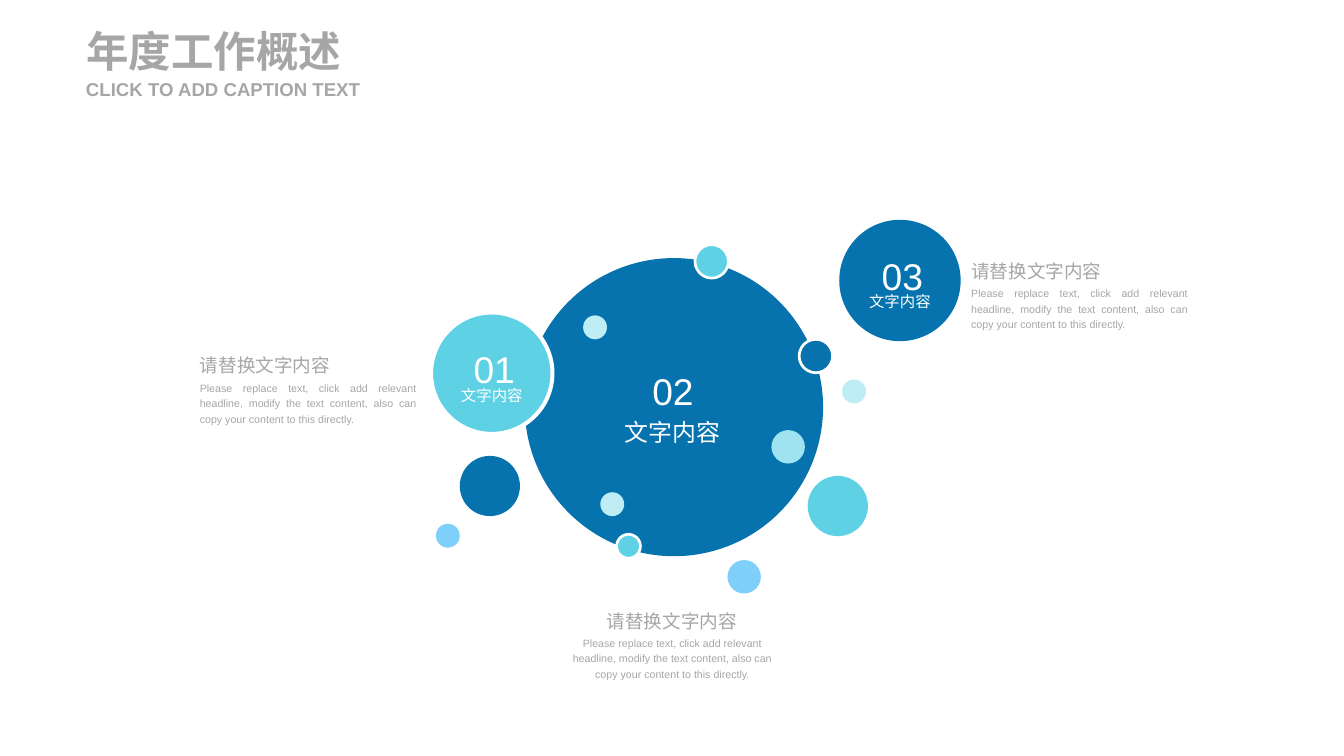
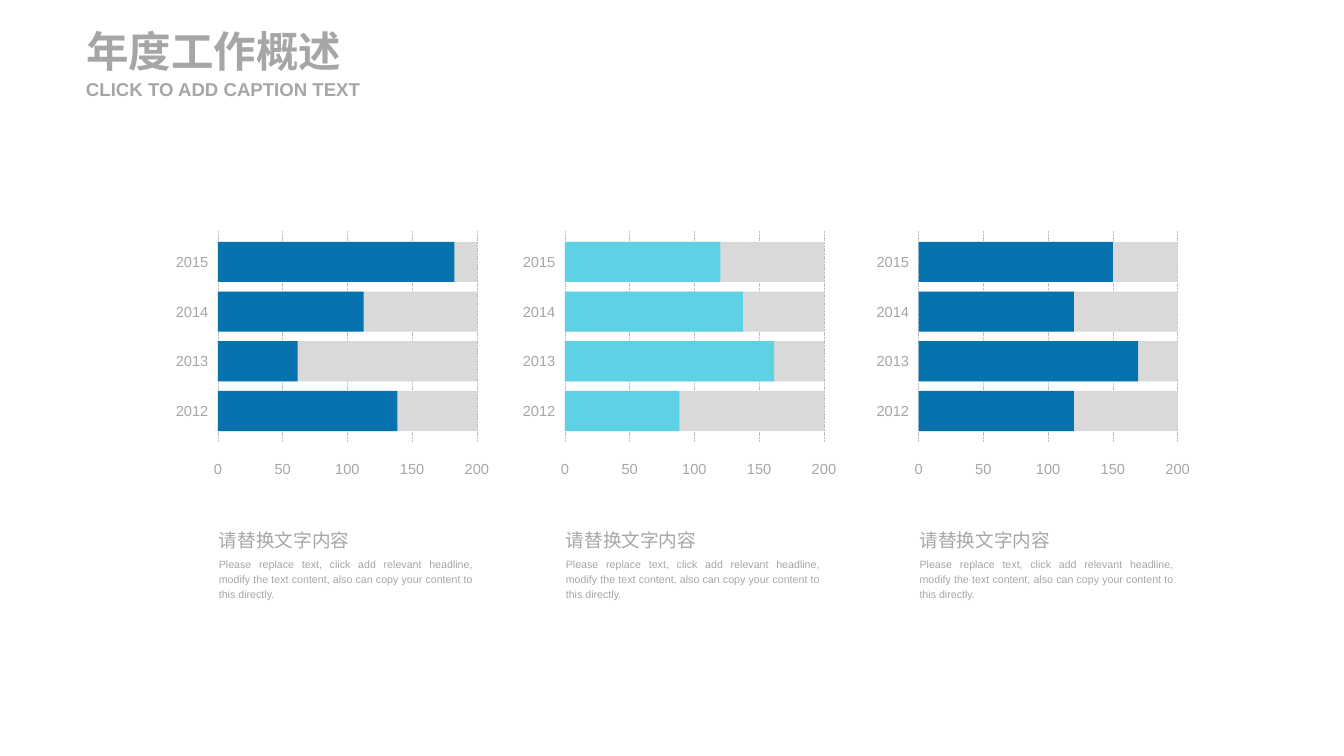
from lxml import etree
from pptx import Presentation
from pptx.dml.color import RGBColor
from pptx.enum.dml import MSO_LINE
from pptx.enum.shapes import MSO_CONNECTOR, MSO_SHAPE
from pptx.enum.text import MSO_ANCHOR as ANCHOR, MSO_AUTO_SIZE, PP_ALIGN as ALIGN
from pptx.oxml.ns import qn
from pptx.util import Inches, Pt

FONT = "Arial"
BLUE, CYAN, SKY = "0673AE", "5ED1E5", "7FCFFB"
PALE_CYAN, SOFT_CYAN = "BFEDF5", "9EE3EF"
WHITE, GREY, TRACK_GREY, GRID_GREY = "FFFFFF", "A6A6A6", "D9D9D9", "BFBFBF"

HEADLINE = "请替换文字内容"
DETAIL = ("Please replace text, click add relevant headline, modify the text "
          "content, also can copy your content to this directly.")
LABEL = "文字内容"

rgb = RGBColor.from_string


def write(shape, text, size, color=GREY, align=ALIGN.LEFT, anchor=ANCHOR.TOP,
          bold=False, spacing=1.2):
    frame = shape.text_frame
    frame.margin_left = frame.margin_right = frame.margin_top = frame.margin_bottom = 0
    frame.word_wrap = True
    frame.auto_size = MSO_AUTO_SIZE.SHAPE_TO_FIT_TEXT
    frame.vertical_anchor = anchor
    frame.text = text
    paragraph = frame.paragraphs[0]
    paragraph.alignment = align
    paragraph.line_spacing = spacing
    font = paragraph.runs[0].font
    font.name, font.size, font.bold = FONT, Pt(size), bold
    font.color.rgb = rgb(color)


def add_item(slide, left, top, width, height, kind=None, fill=None, outline=0,
             text=None, size=None, **style):
    """Add a filled shape of the given kind, or a text box when no kind is given."""
    place = [Inches(length) for length in (left, top, width, height)]
    if kind is None:
        write(slide.shapes.add_textbox(*place), text, size, **style)
        return
    shape = slide.shapes.add_shape(kind, *place)
    shape.shadow.inherit = False
    shape.fill.solid()
    shape.fill.fore_color.rgb = rgb(fill)
    if outline:
        shape.line.color.rgb = rgb(WHITE)
        shape.line.width = Pt(outline)
    else:
        shape.line.fill.background()


prs = Presentation()
prs.slide_width, prs.slide_height = Inches(14.06), Inches(7.91)

# Shared heading
layout = prs.slide_layouts.get_by_name("Title Only")
layout_title = layout.placeholders[0]
layout_title.left, layout_title.top = Inches(0.9), Inches(0.26)
layout_title.width, layout_title.height = Inches(3.07), Inches(0.54)

heading = dict(anchor=ANCHOR.MIDDLE, bold=True, spacing=1.0)
overview, yearly = [prs.slides.add_slide(layout) for _ in range(2)]
for slide in (overview, yearly):
    write(slide.shapes.title, "年度工作概述", 32, **heading)
    add_item(slide, 0.9, 0.81, 3.07, 0.24, text="CLICK TO ADD CAPTION TEXT", size=14, **heading)

# Bubbles: left, top, diameter, fill, white outline width
bubbles = [
    (5.49, 2.70, 3.12, BLUE, 0),
    (7.27, 2.56, 0.35, CYAN, 2),
    (6.45, 5.59, 0.25, CYAN, 2),
    (8.81, 3.97, 0.25, PALE_CYAN, 0),
    (7.61, 5.86, 0.35, SKY, 0),
    (6.10, 3.30, 0.25, PALE_CYAN, 0),
    (4.51, 3.27, 1.27, CYAN, 3),
    (8.07, 4.50, 0.35, SOFT_CYAN, 0),
    (4.81, 4.77, 0.63, BLUE, 0),
    (8.78, 2.30, 1.27, BLUE, 0),
    (8.36, 3.55, 0.35, BLUE, 2),
    (4.56, 5.48, 0.25, SKY, 0),
    (6.28, 5.15, 0.25, PALE_CYAN, 0),
    (8.45, 4.98, 0.63, CYAN, 0),
]
for left, top, diameter, fill, outline in bubbles:
    add_item(overview, left, top, diameter, diameter, MSO_SHAPE.OVAL, fill, outline)

# Bubble text: number, its left and top, label left, top, height and size
bubble_texts = [
    ("01", 4.84, 3.53, 4.59, 4.01, 0.21, 11.6),
    ("02", 6.71, 3.76, 6.48, 4.33, 0.33, 18),
    ("03", 9.11, 2.56, 8.86, 3.03, 0.21, 11.6),
]
on_bubble = dict(color=WHITE, align=ALIGN.CENTER)
for number, number_left, number_top, left, top, height, size in bubble_texts:
    add_item(overview, left, top, 1.11, height, text=LABEL, size=size,
             anchor=ANCHOR.MIDDLE, **on_bubble)
    add_item(overview, number_left, number_top, 0.66, 0.51, text=number, size=28, **on_bubble)

# Notes beside the bubbles: headline left, detail left, headline top, alignment
for headline_left, detail_left, top, align in [
    (2.09, 2.09, 3.66, ALIGN.JUSTIFY),
    (6.17, 5.90, 6.33, ALIGN.CENTER),
    (10.16, 10.16, 2.67, ALIGN.JUSTIFY),
]:
    add_item(overview, headline_left, top, 1.72, 0.28, text=HEADLINE, size=14, align=align)
    add_item(overview, detail_left, top + 0.31, 2.27, 0.47, text=DETAIL, size=8, align=align)

# Progress bars: each value lies over a full-length track
YEARS = ["2015", "2014", "2013", "2012"]
FULL, STEP = 200, 50
TRACK_WIDTH, BAR_HEIGHT, BAR_PITCH, FIRST_BAR = 2.71, 0.42, 0.52, 2.53
GRID_TOP, GRID_BOTTOM = 2.42, 4.62

for left, color, values in [
    (2.28, BLUE, (182.5, 112.5, 61.5, 138.5)),
    (5.91, CYAN, (120, 137.5, 161.5, 88.5)),
    (9.61, BLUE, (150, 120, 169.5, 120)),
]:
    for tick in range(0, FULL + 1, STEP):
        x = left + TRACK_WIDTH * tick / FULL
        grid = yearly.shapes.add_connector(MSO_CONNECTOR.STRAIGHT, Inches(x), Inches(GRID_TOP),
                                           Inches(x), Inches(GRID_BOTTOM))
        grid.line.color.rgb = rgb(GRID_GREY)
        grid.line.width = Pt(0.5)
        grid.line.dash_style = MSO_LINE.SQUARE_DOT
        etree.SubElement(grid._element.spPr, qn("a:effectLst"))
        add_item(yearly, x - 0.23, 4.78, 0.46, 0.22, text=str(tick), size=11, align=ALIGN.CENTER)

    for row, (year, value) in enumerate(zip(YEARS, values)):
        top = FIRST_BAR + row * BAR_PITCH
        for amount, fill in ((FULL, TRACK_GREY), (value, color)):
            add_item(yearly, left, top, TRACK_WIDTH * amount / FULL, BAR_HEIGHT,
                     MSO_SHAPE.RECTANGLE, fill)
        add_item(yearly, left - 0.55, top + 0.08, 0.45, 0.22, text=year, size=11,
                 align=ALIGN.RIGHT)

    add_item(yearly, left + 0.01, 5.49, 1.82, 0.28, text=HEADLINE, size=14)
    add_item(yearly, left + 0.01, 5.81, 2.66, 0.47, text=DETAIL, size=8, align=ALIGN.JUSTIFY)

prs.save("out.pptx")
